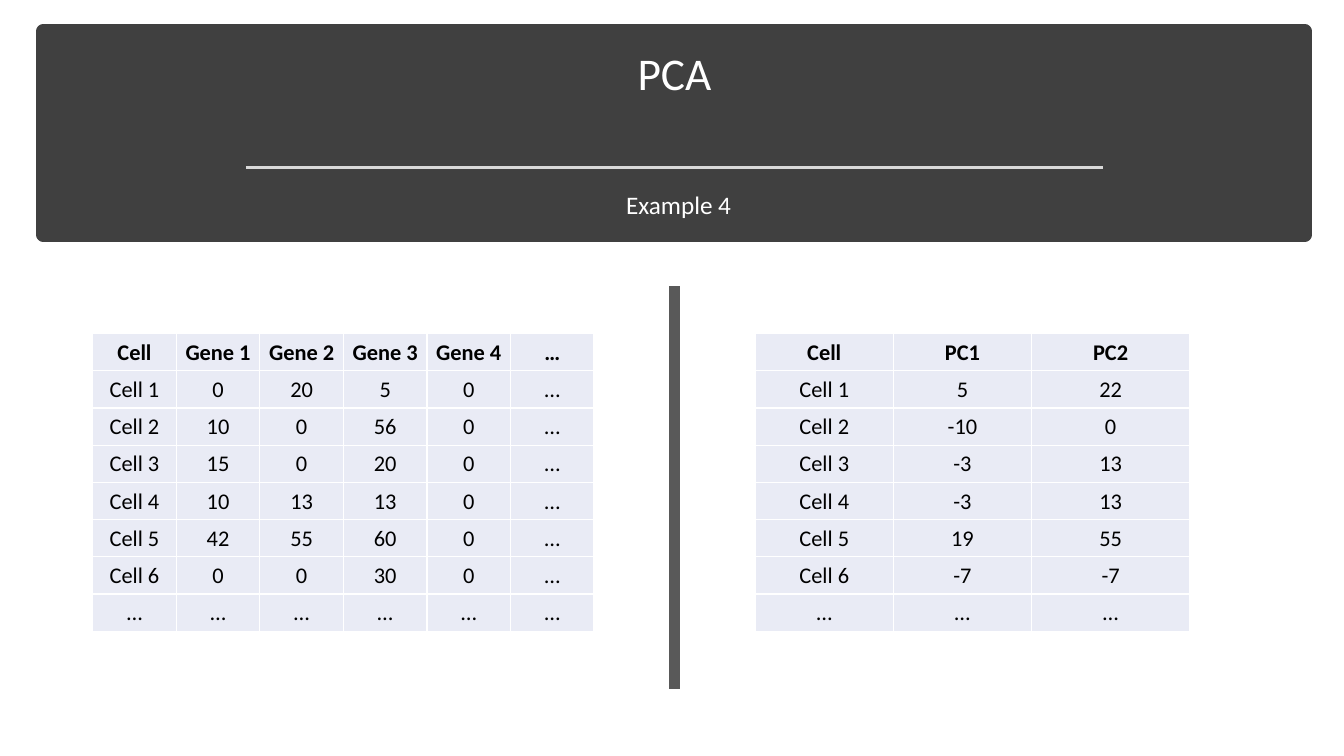
from lxml import etree
from pptx import Presentation
from pptx.dml.color import RGBColor
from pptx.enum.shapes import MSO_CONNECTOR, MSO_SHAPE
from pptx.enum.text import MSO_ANCHOR, MSO_AUTO_SIZE, PP_ALIGN
from pptx.oxml import parse_xml
from pptx.oxml.ns import nsdecls, qn
from pptx.util import Inches, Pt

STRAIGHT, RECTANGLE = MSO_CONNECTOR.STRAIGHT, MSO_SHAPE.RECTANGLE
MIDDLE, CENTER, NO_AUTOFIT = MSO_ANCHOR.MIDDLE, PP_ALIGN.CENTER, MSO_AUTO_SIZE.NONE
BAND, WHITE, BLACK, CELL_FILL = "404040", "FFFFFF", "000000", "E9EBF5"

presentation = Presentation()
presentation.slide_width = Inches(13.33)
presentation.slide_height = Inches(7.5)
slide = presentation.slides.add_slide(presentation.slide_layouts[5])


def place(x, y, width, height):
    """Turn percentages of the slide's width and height into lengths."""
    across, down = presentation.slide_width / 100, presentation.slide_height / 100
    return [round(x * across), round(y * down), round(width * across), round(height * down)]


def format_text(paragraph, size, color, bold=False):
    for name, value in {"name": "Calibri", "size": Pt(size), "bold": bold}.items():
        setattr(paragraph.font, name, value)
    paragraph.font.color.rgb = RGBColor.from_string(color)


# Header band, kept behind the title
band = slide.shapes.add_shape(RECTANGLE, *place(3.23, 4.13, 93.85, 26.93))
band.shadow.inherit = False
band.fill.solid()
band.fill.fore_color.rgb = band.line.color.rgb = RGBColor.from_string(BAND)
band.line.width = Pt(10)

title = slide.shapes.title
title.element.addprevious(band.element)
title.left, title.top, title.width, title.height = place(4.5, 4.53, 91.37, 10.93)
title.text_frame.text = "PCA"
title.text_frame.auto_size = NO_AUTOFIT
title.text_frame.vertical_anchor = MIDDLE
title_paragraph = title.text_frame.paragraphs[0]
title_paragraph.alignment = CENTER
title_paragraph.line_spacing = 0.9
format_text(title_paragraph, 32.4, WHITE)

# Header rule and the divider between the tables
for start, end, color, width in [
    ((18.3, 22.13), (82.07, 22.13), "D9D9D9", 1.75),
    ((50.19, 37.87), (50.19, 91.2), "595959", 8),
]:
    line = slide.shapes.add_connector(STRAIGHT, *place(*start, *end))
    line.line.color.rgb = RGBColor.from_string(color)
    line.line.width = Pt(width)
    etree.SubElement(line.element.spPr, qn("a:effectLst"))

subtitle = slide.shapes.add_textbox(*place(45.01, 24.4, 23.26, 5.33))
subtitle.text_frame.word_wrap = True
subtitle.text_frame.margin_left = Inches(0.21)
subtitle.text_frame.text = "Example 4"
format_text(subtitle.text_frame.paragraphs[0], 18, WHITE)

# Gene counts on the left, principal components on the right
gene_rows = [
    ["Cell", "Gene 1", "Gene 2", "Gene 3", "Gene 4", "…"],
    ["Cell 1", 0, 20, 5, 0, "…"],
    ["Cell 2", 10, 0, 56, 0, "…"],
    ["Cell 3", 15, 0, 20, 0, "…"],
    ["Cell 4", 10, 13, 13, 0, "…"],
    ["Cell 5", 42, 55, 60, 0, "…"],
    ["Cell 6", 0, 0, 30, 0, "…"],
    ["…"] * 6,
]
component_rows = [
    ["Cell", "PC1", "PC2"],
    ["Cell 1", 5, 22],
    ["Cell 2", -10, 0],
    ["Cell 3", -3, 13],
    ["Cell 4", -3, 13],
    ["Cell 5", 19, 55],
    ["Cell 6", -7, -7],
    ["…"] * 3,
]
ROW_HEIGHT = 4.92
cell_format = {
    "margin_left": Inches(0.01),
    "margin_right": Inches(0.01),
    "margin_top": Inches(0.01),
    "margin_bottom": 0,
    "vertical_anchor": MIDDLE,
}

for left, column_widths, rows in [
    (6.9, [6.22] * 6, gene_rows),
    (56.19, [10.28, 10.28, 11.78], component_rows),
]:
    area = place(left, 44.13, sum(column_widths), ROW_HEIGHT * len(rows))
    table = slide.shapes.add_table(len(rows), len(column_widths), *area).table
    for column, width in zip(table.columns, column_widths):
        column.width = place(0, 0, width, 0)[2]
    for row_index, values in enumerate(rows):
        for column_index, value in enumerate(values):
            cell = table.cell(row_index, column_index)
            for name, setting in cell_format.items():
                setattr(cell, name, setting)
            cell.fill.solid()
            cell.fill.fore_color.rgb = RGBColor.from_string(CELL_FILL)
            cell.text = str(value)
            paragraph = cell.text_frame.paragraphs[0]
            paragraph.alignment = CENTER
            format_text(paragraph, 16, BLACK, bold=row_index == 0)
            properties = cell._tc.get_or_add_tcPr()
            for position, side in enumerate(["lnL", "lnR", "lnT", "lnB"]):
                border = parse_xml(
                    f'<a:{side} {nsdecls("a")} w="{Pt(1)}"><a:solidFill>'
                    f'<a:srgbClr val="{WHITE}"/></a:solidFill></a:{side}>'
                )
                properties.insert(position, border)

presentation.save("out.pptx")
